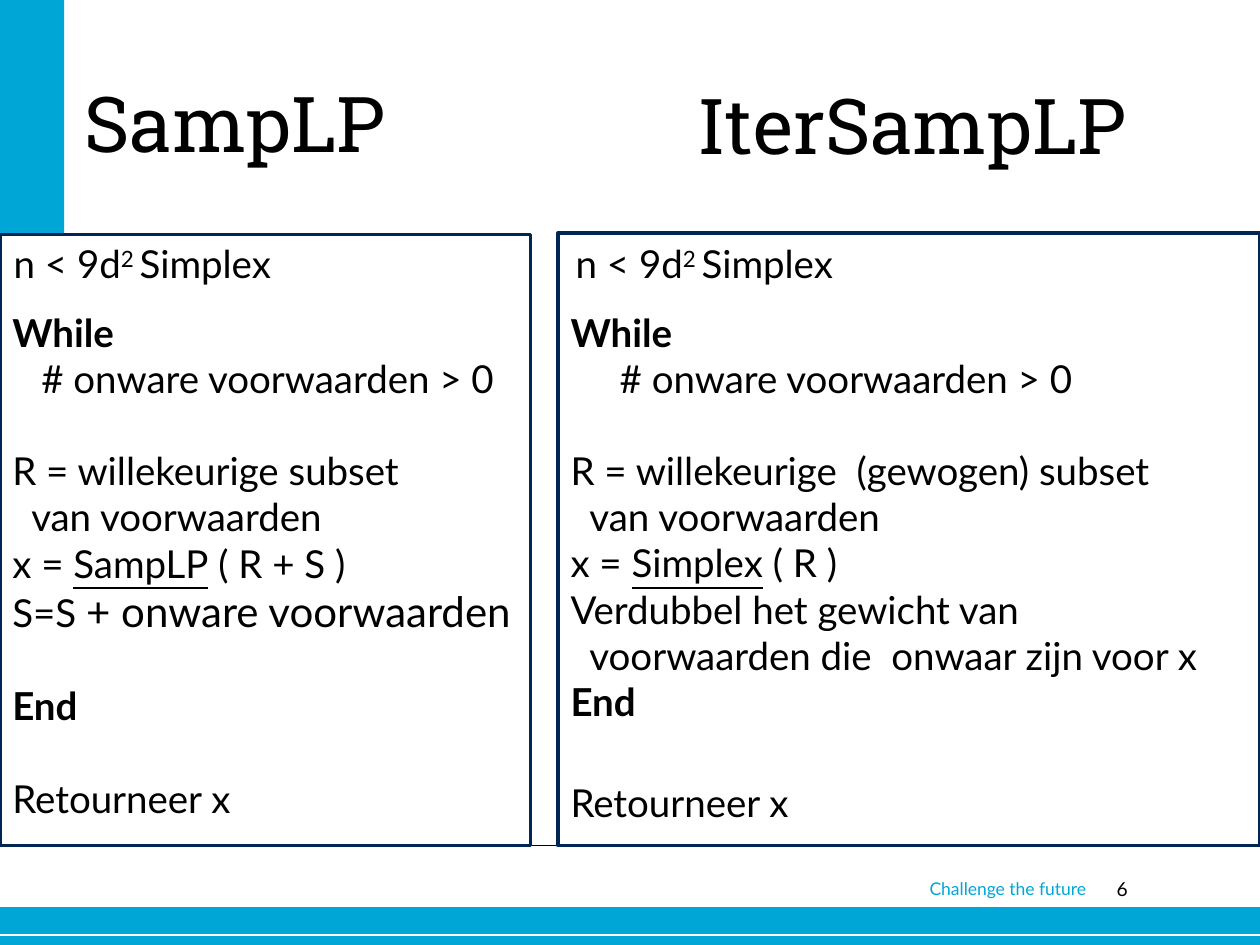
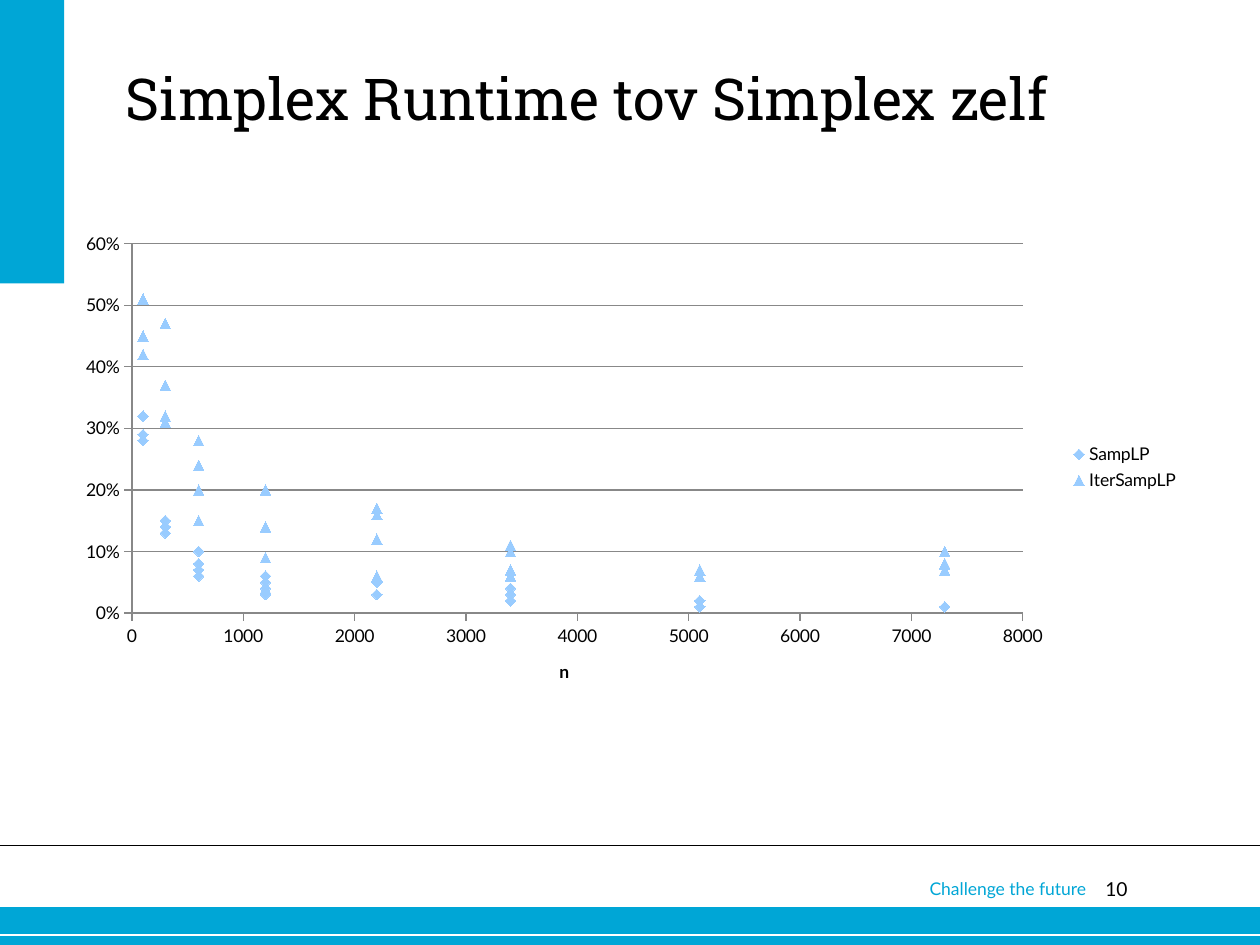
import pptx
import pptx.util
import pptx.chart.data
import pptx.dml.color
import pptx.enum.chart
import pptx.enum.shapes
import pptx.enum.text
import pptx.oxml
from dataclasses import dataclass
from itertools import repeat

Inches = pptx.util.Inches
Pt = pptx.util.Pt
RGB = pptx.dml.color.RGBColor.from_string
ALIGN = pptx.enum.text.PP_ALIGN


@dataclass(frozen=True)
class Theme:
    cyan: str = "00A6D6"
    navy: str = "002656"
    black: str = "000000"
    white: str = "FFFFFF"
    grid: str = "888888"
    marker: str = "99CCFF"
    body_font: str = "Lato"
    title_font: str = "Roboto Slab"
    big_title: int = 44
    title: int = 33
    code: int = 22
    wide_code: int = 24
    number: int = 11
    small: int = 10


THEME = Theme()

# Pseudocode lines: (runs, indent in inches, gap before in points)
# Each run is (text, options)
BOLD = {"bold": True}
UNDERLINED = {"underline": True}
LINE_GAP = 26.4
SAMP_CODE = [
    ([("While", BOLD)], 0, 0),
    ([("# onware voorwaarden > 0", {})], 0.23, 0),
    ([("R = willekeurige subset", {})], 0, LINE_GAP),
    ([("van voorwaarden", {})], 0.15, 0),
    ([("x = ", {}), ("SampLP", UNDERLINED), (" ( R + S )", {})], 0, 0),
    ([("S=S ", {}), ("+ onware voorwaarden", {"size": THEME.wide_code})], 0, 0),
    ([("End", BOLD)], 0, LINE_GAP),
    ([("Retourneer x", {})], 0, LINE_GAP),
]
ITER_CODE = [
    ([("While", BOLD)], 0, 0),
    ([("# onware voorwaarden > 0", {})], 0.39, 0),
    ([("R = willekeurige  (gewogen) subset", {})], 0, LINE_GAP),
    ([("van voorwaarden", {})], 0.15, 0),
    ([("x = ", {}), ("Simplex", UNDERLINED), (" ( R )", {})], 0, 0),
    ([("Verdubbel het gewicht van", {})], 0, 0),
    ([("voorwaarden die  onwaar zijn voor x", {})], 0.15, 0),
    ([("End", BOLD)], 0, 0),
    ([("Retourneer x", {})], 0, 31.2),
]
BASE_CASE = [([("n < 9d", {}), ("2", {"raised": True}), ("\tSimplex", {})], 0, 0)]

# Share of the plain Simplex runtime, four runs for each n
RUNTIMES = {
    "SampLP": {
        1200: (0.04, 0.06, 0.03, 0.05), 2200: (0.05, 0.05, 0.03, 0.05),
        300: (0.14, 0.13, 0.15, 0.14), 3400: (0.02, 0.04, 0.02, 0.03),
        5100: (0.02, 0.01, 0.02, 0.02), 600: (0.07, 0.06, 0.1, 0.08),
        7300: (0.01, 0.01, 0.01, 0.01), 100: (0.32, 0.28, 0.29, 0.32),
    },
    "IterSampLP": {
        1200: (0.09, 0.2, 0.04, 0.14), 2200: (0.16, 0.17, 0.06, 0.12),
        300: (0.47, 0.31, 0.32, 0.37), 3400: (0.06, 0.11, 0.07, 0.1),
        5100: (0.06, 0.06, 0.06, 0.07), 600: (0.2, 0.15, 0.28, 0.24),
        7300: (0.08, 0.07, 0.1, 0.08), 100: (0.42, 0.51, 0.45, 0.45),
    },
}


def add_rect(s, box, fill, line=None):
    sp = s.shapes.add_shape(pptx.enum.shapes.MSO_SHAPE.RECTANGLE, *map(Inches, box))
    sp.shadow.inherit = False
    sp.fill.solid()
    sp.fill.fore_color.rgb = RGB(fill)
    if line:
        sp.line.color.rgb = RGB(line)
        sp.line.width = Pt(2)
    else:
        sp.line.fill.background()


def add_rule(s, y, color, width):
    line = s.shapes.add_connector(
        pptx.enum.shapes.MSO_CONNECTOR.STRAIGHT, 0, Inches(y), Inches(10), Inches(y))
    line.line.color.rgb = RGB(color)
    line.line.width = Pt(width)
    line._element.spPr.append(pptx.oxml.parse_xml(
        '<a:effectLst xmlns:a="http://schemas.openxmlformats.org/drawingml/2006/main"/>'))


def add_run(p, text, size, font=THEME.body_font, color=THEME.black,
            bold=False, underline=False, raised=False):
    r = p.add_run()
    r.text = text
    r.font.size = Pt(size)
    r.font.name = font
    r.font.color.rgb = RGB(color)
    r.font.bold = bold
    r.font.underline = underline
    if raised:
        r._r.get_or_add_rPr().set("baseline", "30000")


def add_frame(s, box, inset=True):
    tf = s.shapes.add_textbox(*map(Inches, box)).text_frame
    tf.word_wrap = True
    if not inset:
        tf.margin_left = tf.margin_right = tf.margin_top = tf.margin_bottom = 0
    return tf


def add_label(s, box, text, size, align=ALIGN.LEFT, inset=False, middle=False, **style):
    tf = add_frame(s, box, inset)
    if middle:
        tf.vertical_anchor = pptx.enum.text.MSO_ANCHOR.MIDDLE
    p = tf.paragraphs[0]
    p.alignment = align
    add_run(p, text, size, **style)


def add_code(s, box, lines):
    tf = add_frame(s, box)
    for i, (runs, indent, gap) in enumerate(lines):
        p = tf.add_paragraph() if i else tf.paragraphs[0]
        p.space_before = Pt(gap)
        if indent:
            p._p.get_or_add_pPr().set("marL", str(Inches(indent)))
        for text, options in runs:
            add_run(p, text, **{"size": THEME.code, **options})


def add_base_slide(prs, number):
    s = prs.slides.add_slide(prs.slide_layouts[6])
    # Bands and rules
    add_rect(s, (0, 7.2, 10, 0.3), THEME.cyan)
    add_rule(s, 7.42, THEME.white, 0.75)
    add_rule(s, 6.71, THEME.black, 1)
    add_rect(s, (0, 0, 0.51, 2.25), THEME.cyan)
    # Footer
    add_label(s, (8.46, 6.96, 0.49, 0.28), str(number), THEME.number, ALIGN.RIGHT)
    add_label(s, (7.28, 6.92, 1.6, 0.27), "Challenge the future", THEME.small,
              inset=True, color=THEME.cyan)
    return s


def style_axis(axis, top, step, number_format):
    axis.minimum_scale, axis.maximum_scale, axis.major_unit = 0, top, step
    axis.major_tick_mark = pptx.enum.chart.XL_TICK_MARK.OUTSIDE
    axis.tick_labels.number_format = number_format
    axis.tick_labels.number_format_is_linked = False
    axis.format.line.color.rgb = RGB(THEME.grid)


def set_plot_layout(chart, **shares):
    values = "".join(f'<c:{k} val="{v}"/>' for k, v in shares.items())
    plot_area = chart._chartSpace.chart.plotArea
    for old in plot_area.xpath("c:layout"):
        plot_area.remove(old)
    plot_area.insert(0, pptx.oxml.parse_xml(
        '<c:layout xmlns:c="http://schemas.openxmlformats.org/drawingml/2006/chart">'
        '<c:manualLayout><c:layoutTarget val="inner"/><c:xMode val="edge"/>'
        f'<c:yMode val="edge"/>{values}</c:manualLayout></c:layout>'))


def add_runtime_chart(s, box):
    data = pptx.chart.data.XyChartData()
    for name, by_n in RUNTIMES.items():
        series = data.add_series(name)
        for n, shares in by_n.items():
            for x, y in zip(repeat(n), shares):
                series.add_data_point(x, y)
    chart = s.shapes.add_chart(
        pptx.enum.chart.XL_CHART_TYPE.XY_SCATTER, *map(Inches, box), data).chart
    chart.has_title = False
    chart.font.size = Pt(THEME.small)
    chart.font.name = THEME.body_font
    chart.font.color.rgb = RGB(THEME.black)
    set_plot_layout(chart, x=0.06, y=0.04, w=0.79, h=0.76)

    # Axes and legend
    style_axis(chart.category_axis, 8000, 1000, "0")
    style_axis(chart.value_axis, 0.6, 0.1, "0%")
    chart.category_axis.has_major_gridlines = False
    chart.value_axis.major_gridlines.format.line.color.rgb = RGB(THEME.grid)
    p = chart.category_axis.axis_title.text_frame.paragraphs[0]
    add_run(p, "n", THEME.small, bold=True)
    chart.has_legend = True
    chart.legend.position = pptx.enum.chart.XL_LEGEND_POSITION.RIGHT
    chart.legend.include_in_layout = False

    # Markers without joining lines
    plot = chart.plots[0]
    plot.vary_by_categories = False
    styles = pptx.enum.chart.XL_MARKER_STYLE
    for series, style in zip(plot.series, (styles.DIAMOND, styles.TRIANGLE)):
        series.smooth = False
        series.format.line.fill.background()
        series.marker.style = style
        series.marker.size = 6
        series.marker.format.fill.solid()
        series.marker.format.fill.fore_color.rgb = RGB(THEME.marker)
        series.marker.format.line.fill.background()


def build_algorithms(prs):
    s = add_base_slide(prs, 6)
    add_rect(s, (4.43, 1.85, 5.57, 4.86), THEME.white, THEME.navy)
    add_rect(s, (0, 1.86, 4.21, 4.85), THEME.white, THEME.navy)
    add_label(s, (0.67, 0.6, 4.5, 1.25), "SampLP", THEME.big_title,
              font=THEME.title_font)
    add_label(s, (4.99, 0.36, 4.5, 1.25), "IterSampLP", THEME.big_title, ALIGN.CENTER,
              inset=True, middle=True, font=THEME.title_font)
    add_code(s, (0.01, 1.86, 4.42, 0.47), BASE_CASE)
    add_code(s, (4.47, 1.86, 3.28, 0.47), BASE_CASE)
    add_code(s, (0, 2.4, 4.43, 4.21), SAMP_CODE)
    add_code(s, (4.43, 2.4, 5.57, 4.24), ITER_CODE)


def build_runtime(prs):
    s = add_base_slide(prs, 10)
    add_label(s, (1, 0.5, 7.83, 1.36), "Simplex Runtime tov Simplex zelf", THEME.title,
              font=THEME.title_font)
    add_runtime_chart(s, (0.51, 1.78, 8.95, 3.86))


def main():
    prs = pptx.Presentation()
    prs.slide_width, prs.slide_height = Inches(10), Inches(7.5)
    build_algorithms(prs)
    build_runtime(prs)
    prs.save("out.pptx")


if __name__ == "__main__":
    main()
